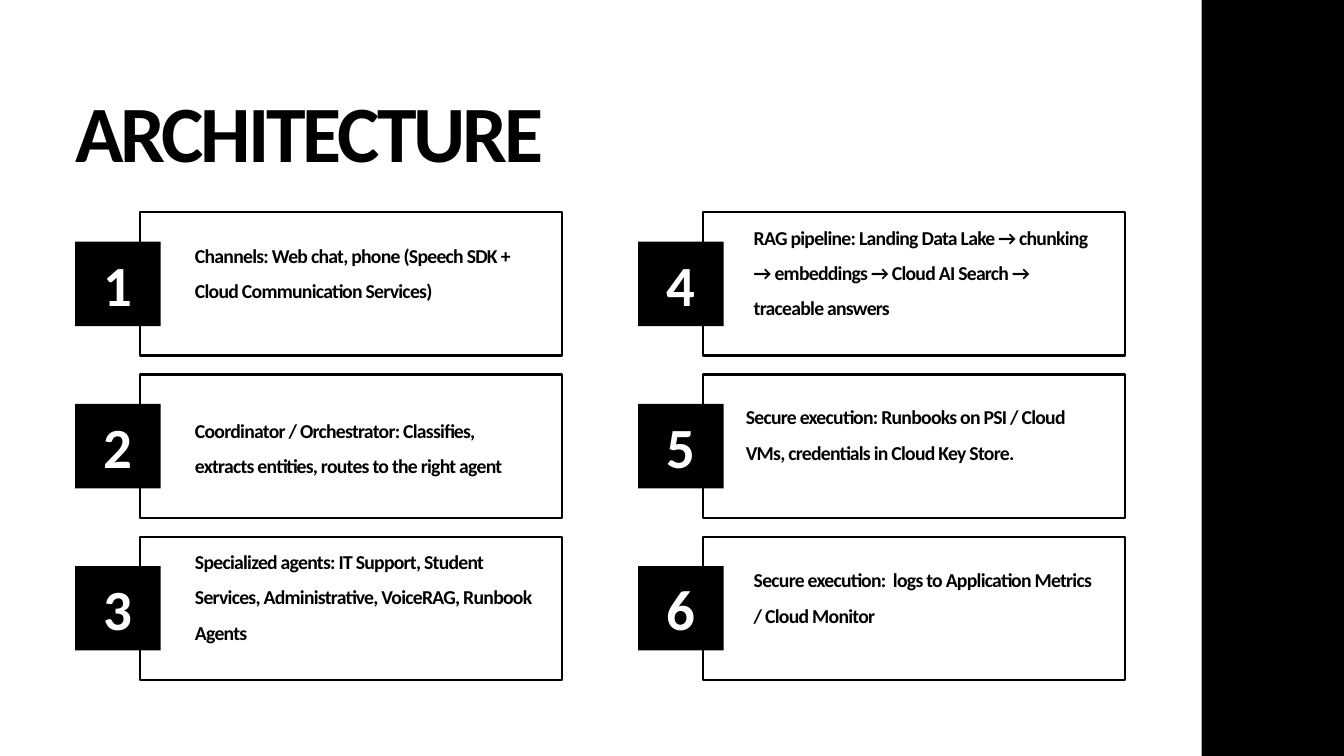
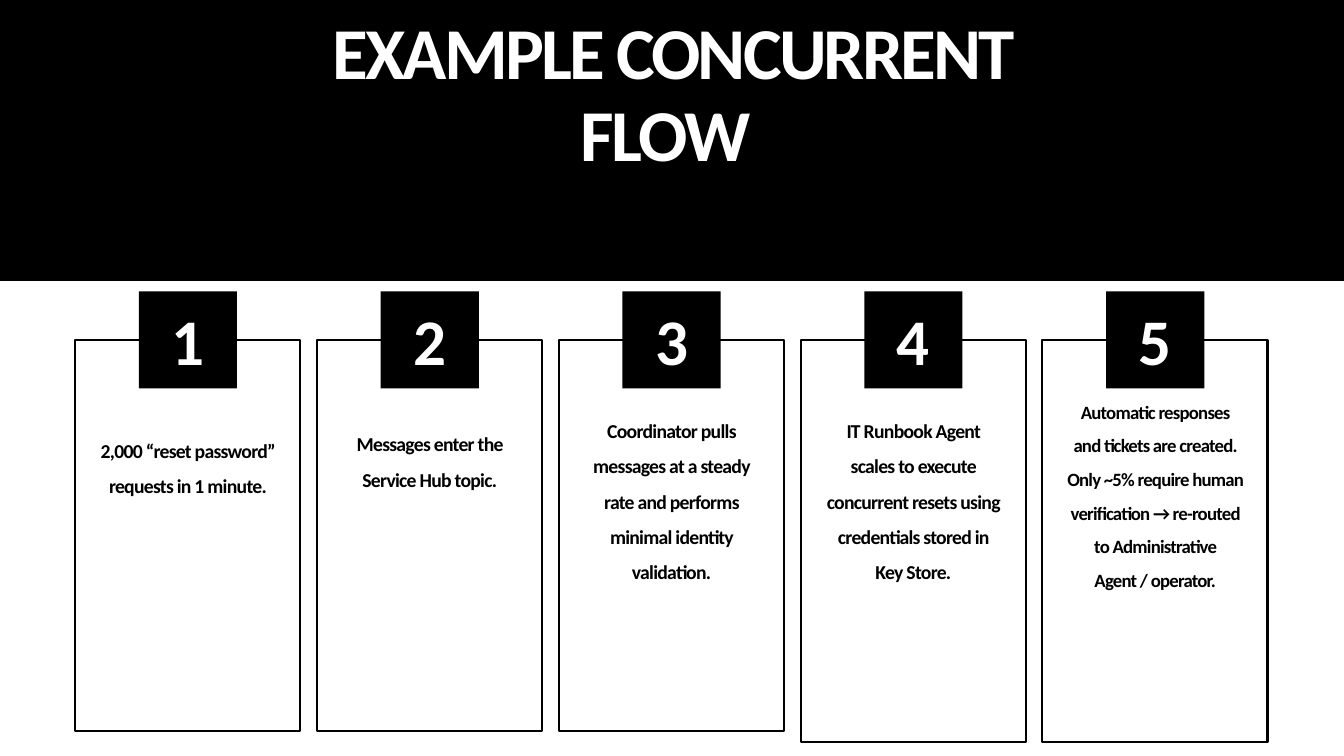
from collections import namedtuple

from pptx import Presentation
from pptx.dml.color import RGBColor
from pptx.enum.shapes import MSO_SHAPE as SHAPE
from pptx.enum.text import MSO_AUTO_SIZE as AUTO, PP_ALIGN as ALIGN
from pptx.util import Cm, Pt

BLACK, WHITE = "000000", "FFFFFF"
FONT = "Calibri"
SLIDE_W, SLIDE_H = 50.8, 28.58
MARGIN = 2.84

Style = namedtuple("Style", "size leading spacing")
TITLE = Style(85.6, 96.8, -3.3)
BAND_TITLE = Style(78.3, 88.5, -3)
ROW_NUMBER = Style(60.9, 68.8, -2.4)
STEP_NUMBER = Style(69.7, 78.8, -2.7)
BODY = Style(21.1, 37.9, -0.8)
SMALL_BODY = Style(20.1, 36.1, -0.8)

# text, left and top inset within the card, width, height
COMPONENTS = [
    ("Channels: Web chat, phone (Speech SDK + Cloud Communication Services)",
     2.09, 0.74, 12.88, 3.89),
    ("Coordinator / Orchestrator: Classifies, extracts entities, routes to the right agent",
     2.09, 1.22, 12.88, 3.89),
    ("Specialized agents: IT Support, Student Services, Administrative, VoiceRAG, Runbook Agents",
     2.09, 0.05, 12.88, 5.21),
    ("RAG pipeline: Landing Data Lake → chunking → embeddings → Cloud AI Search → traceable answers",
     1.93, 0.05, 13.18, 5.21),
    ("Secure execution: Runbooks on PSI / Cloud VMs, credentials in Cloud Key Store.",
     1.63, 0.71, 13.18, 3.89),
    ("Secure execution:  logs to Application Metrics / Cloud Monitor",
     1.93, 0.74, 12.88, 3.89),
]

# text, card height, text top, text height, style
STEPS = [
    ("2,000 “reset password” requests in 1 minute.", 14.78, 16.13, 5.21, BODY),
    ("Messages enter the Service Hub topic.", 14.78, 15.9, 5.21, BODY),
    ("Coordinator pulls messages at a steady rate and performs minimal identity validation.",
     14.78, 15.39, 10.49, BODY),
    ("IT Runbook Agent scales to execute concurrent resets using credentials stored in Key Store.",
     15.21, 15.39, 10.49, BODY),
    ("Automatic responses and tickets are created. Only ~5% require human verification → "
     "re-routed to Administrative Agent / operator.", 15.21, 14.71, 12.93, SMALL_BODY),
]


def rgb(value):
    """Turn a hex string into a colour."""
    return RGBColor.from_string(value)


def add_rect(slide, x, y, w, h, fill=None):
    """Add a filled block, or a black outlined frame when no fill is given."""
    sp = slide.shapes.add_shape(SHAPE.RECTANGLE, Cm(x), Cm(y), Cm(w), Cm(h))
    sp.shadow.inherit = False
    if fill:
        sp.fill.solid()
        sp.fill.fore_color.rgb = rgb(fill)
        sp.line.fill.background()
    else:
        sp.fill.background()
        sp.line.color.rgb = rgb(BLACK)
        sp.line.width = Pt(2.25)


def add_text(slide, text, x, y, w, h, style, color=BLACK, align=ALIGN.LEFT):
    """Add a bold text box without insets."""
    tf = slide.shapes.add_textbox(Cm(x), Cm(y), Cm(w), Cm(h)).text_frame
    tf.word_wrap = True
    tf.auto_size = AUTO.SHAPE_TO_FIT_TEXT
    tf.margin_left = tf.margin_right = tf.margin_top = tf.margin_bottom = 0
    p = tf.paragraphs[0]
    p.alignment = align
    p.line_spacing = Pt(style.leading)
    r = p.add_run()
    r.text = text
    r.font.name = FONT
    r.font.size = Pt(style.size)
    r.font.bold = True
    r.font.color.rgb = rgb(color)
    r.font._element.set("spc", str(round(style.spacing * 100)))


def add_badge(slide, number, x, y, w, h, inset, style):
    """Add a black block with its white number."""
    dx, dy = inset
    add_rect(slide, x, y, w, h, BLACK)
    add_text(slide, str(number), x + dx, y + dy, w - 2 * dx, style.leading / 27,
             style, WHITE, ALIGN.CENTER)


def add_component(slide, index, text, dx, dy, w, h):
    """Add a numbered component card to the two-column grid."""
    column, row = divmod(index, 3)
    x, y = 5.28 + column * 21.28, 8.03 + row * 6.13
    add_rect(slide, x, y, 15.95, 5.41)
    add_badge(slide, index + 1, x - 2.44, y + 1.11, 3.23, 3.19, (0.82, 0.44), ROW_NUMBER)
    add_text(slide, text, x + dx, y + dy, w, h, BODY)


def add_step(slide, index, text, card_h, text_y, text_h, style):
    """Add a numbered step card to the row."""
    x = MARGIN + index * 9.14
    add_rect(slide, x, 12.85, 8.51, card_h)
    add_badge(slide, index + 1, x + 2.41, 11.02, 3.71, 3.66, (0.93, 0.51), STEP_NUMBER)
    add_text(slide, text, x + 0.94, text_y, 6.65, text_h, style, align=ALIGN.CENTER)


def build_architecture(slide):
    """Build the architecture slide."""
    add_rect(slide, 45.42, 0, SLIDE_W - 45.42, SLIDE_H, BLACK)
    add_text(slide, "ARCHITECTURE", MARGIN, 3.35, 39.65, 3.63, TITLE)
    for i, component in enumerate(COMPONENTS):
        add_component(slide, i, *component)


def build_flow(slide):
    """Build the concurrent flow slide."""
    add_rect(slide, 0, 0, SLIDE_W, 10.62, BLACK)
    add_text(slide, "EXAMPLE CONCURRENT FLOW ", 9.83, 0.43, 31.17, 9.5,
             BAND_TITLE, WHITE, ALIGN.CENTER)
    for i, step in enumerate(STEPS):
        add_step(slide, i, *step)


def main():
    """Build and save the presentation."""
    prs = Presentation()
    prs.slide_width, prs.slide_height = Cm(SLIDE_W), Cm(SLIDE_H)
    for build in (build_architecture, build_flow):
        build(prs.slides.add_slide(prs.slide_layouts[6]))
    prs.save("out.pptx")


if __name__ == "__main__":
    main()
